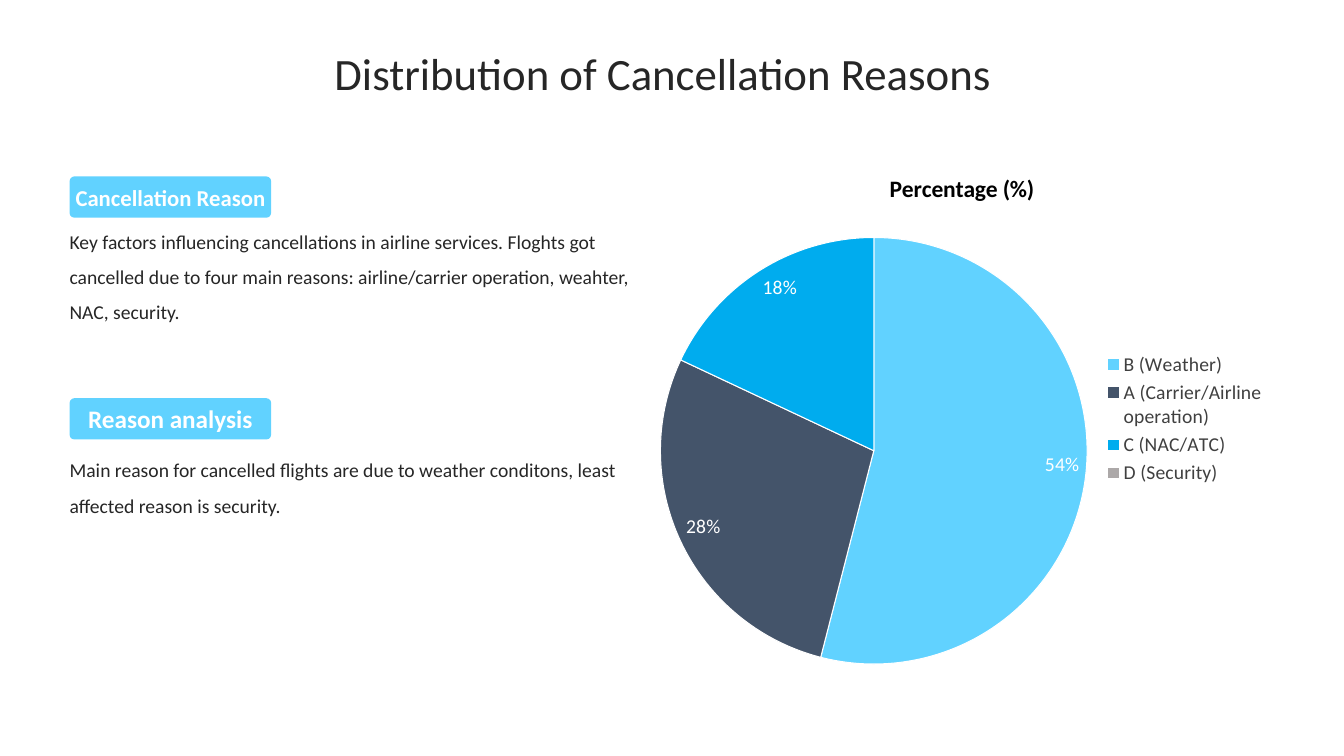
from typing import NamedTuple

from lxml import etree
from pptx import Presentation
from pptx.chart.data import CategoryChartData
from pptx.dml.color import RGBColor
from pptx.enum import chart as ch, shapes, text
from pptx.oxml import ns
from pptx.util import Emu, Pt

PX = 9144  # 100 px to the inch
FONT = "Calibri"
HUES = {"sky": "61D2FF", "slate": "44546A", "blue": "00ACEE", "gray": "ACA8A8",
        "ink": "262626", "key": "404040", "black": "000000", "white": "FFFFFF"}
LEFT = 69


class Box(NamedTuple):
    x: int
    y: int
    w: int
    h: int

    def emu(self) -> list[Emu]:
        return [Emu(n * PX) for n in self]


class Note(NamedTuple):
    head: str
    size: float
    top: int
    body: str
    start: int


class Slice(NamedTuple):
    name: str
    value: int
    hue: str


NOTES = [
    Note("Cancellation Reason", 16.2, 175,
         "Key factors influencing cancellations in airline services. Floghts got "
         "cancelled due to four main reasons: airline/carrier operation, weahter, "
         "NAC, security.", 216),
    Note("Reason analysis", 18, 395,
         "Main reason for cancelled flights are due to weather conditons, least "
         "affected reason is security.", 443),
]
SLICES = [
    Slice("B (Weather)", 54, "sky"),
    Slice("A (Carrier/Airline operation)", 28, "slate"),
    Slice("C (NAC/ATC)", 18, "blue"),
    Slice("D (Security)", 0, "gray"),
]


def rgb(hue: str) -> RGBColor:
    return RGBColor.from_string(HUES[hue])


def style(font, size: float, hue: str, bold: bool = False) -> None:
    font.name, font.size, font.bold = FONT, Pt(size), bold
    font.color.rgb = rgb(hue)


def write(shape, words: str, size: float, hue: str, bold: bool = False):
    """Fill a shape with one wrapped paragraph without insets."""
    frame = shape.text_frame
    frame.word_wrap = True
    frame.margin_left = frame.margin_right = 0
    frame.margin_top = frame.margin_bottom = 0
    frame.text = words
    para = frame.paragraphs[0]
    style(para.font, size, hue, bold)
    return para


def add_title(slide) -> None:
    title = slide.shapes.title
    title.left, title.top, title.width, title.height = Box(67, 37, 1181, 77).emu()
    para = write(title, "Distribution of Cancellation Reasons", 32, "ink")
    para.alignment = text.PP_ALIGN.CENTER
    para.line_spacing = 0.9
    title.text_frame.vertical_anchor = text.MSO_ANCHOR.MIDDLE


def add_note(slide, note: Note) -> None:
    label = slide.shapes.add_shape(shapes.MSO_SHAPE.ROUNDED_RECTANGLE,
                                   *Box(LEFT, note.top, 200, 41).emu())
    label.adjustments[0] = 0.12
    label.shadow.inherit = False
    label.fill.solid()
    label.fill.fore_color.rgb = rgb("sky")
    label.line.fill.background()
    para = write(label, note.head, note.size, "white", True)
    para.alignment = text.PP_ALIGN.CENTER
    label.text_frame.vertical_anchor = text.MSO_ANCHOR.MIDDLE

    body = slide.shapes.add_textbox(*Box(LEFT, note.start, 572, 119).emu())
    write(body, note.body, 14, "ink").line_spacing = 1.5


def place_plot(chart, **parts: float) -> None:
    """Fix the inner plot area as fractions of the chart."""
    area = chart._chartSpace.chart.plotArea
    for old in area.findall(ns.qn("c:layout")):
        area.remove(old)
    layout = etree.Element(ns.qn("c:layout"))
    manual = etree.SubElement(layout, ns.qn("c:manualLayout"))
    tags = {"layoutTarget": "inner", "xMode": "edge", "yMode": "edge", **parts}
    for tag, val in tags.items():
        etree.SubElement(manual, ns.qn(f"c:{tag}")).set("val", str(val))
    area.insert(0, layout)


def add_pie(slide) -> None:
    name = "Percentage (%)"
    data = CategoryChartData()
    data.categories = [part.name for part in SLICES]
    data.add_series(name, [part.value for part in SLICES])
    chart = slide.shapes.add_chart(ch.XL_CHART_TYPE.PIE,
                                   *Box(642, 151, 624, 529).emu(), data).chart
    style(chart.font, 14, "black")
    chart.has_title = True
    head = chart.chart_title.text_frame
    head.text = name
    style(head.paragraphs[0].font, 16.8, "black", True)
    chart.chart_title.include_in_layout = False

    chart.has_legend = True
    chart.legend.position = ch.XL_LEGEND_POSITION.RIGHT
    chart.legend.include_in_layout = False
    style(chart.legend.font, 14, "key")

    plot = chart.plots[0]
    plot.vary_by_categories = True
    for i, part in enumerate(SLICES):
        form = plot.series[0].points[i].format
        form.fill.solid()
        form.fill.fore_color.rgb = rgb(part.hue)
        form.line.color.rgb = rgb("white")
        form.line.width = Pt(0.75)

    plot.has_data_labels = True
    labels = plot.data_labels
    labels.show_value = False
    labels.show_percentage = True
    labels.number_format, labels.number_format_is_linked = "0%", False
    labels.position = ch.XL_LABEL_POSITION.INSIDE_END
    style(labels.font, 14, "white")
    place_plot(chart, x=0.02, y=0.16, w=0.68, h=0.8)


def main() -> None:
    deck = Presentation()
    deck.slide_width, deck.slide_height = Emu(1333 * PX), Emu(750 * PX)
    slide = deck.slides.add_slide(deck.slide_layouts[5])
    add_pie(slide)
    add_title(slide)
    for note in NOTES:
        add_note(slide, note)
    deck.save("out.pptx")


if __name__ == "__main__":
    main()
